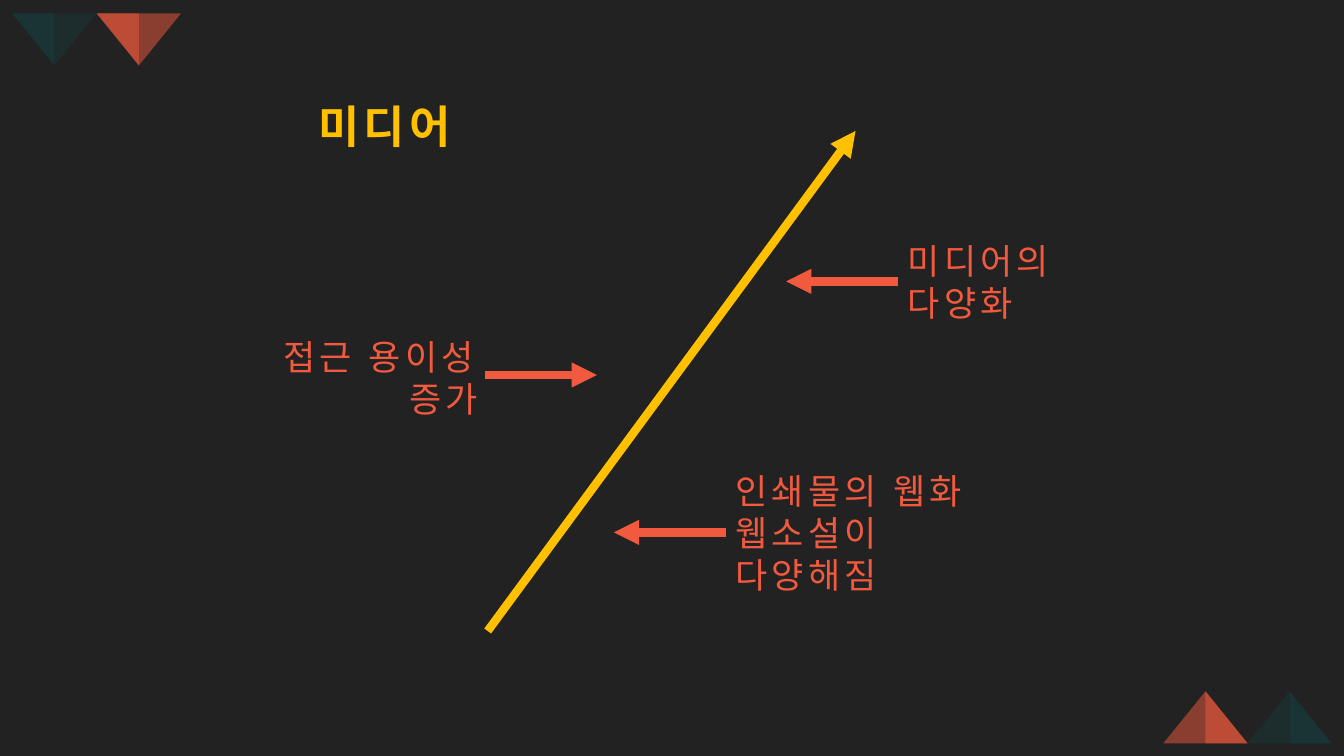
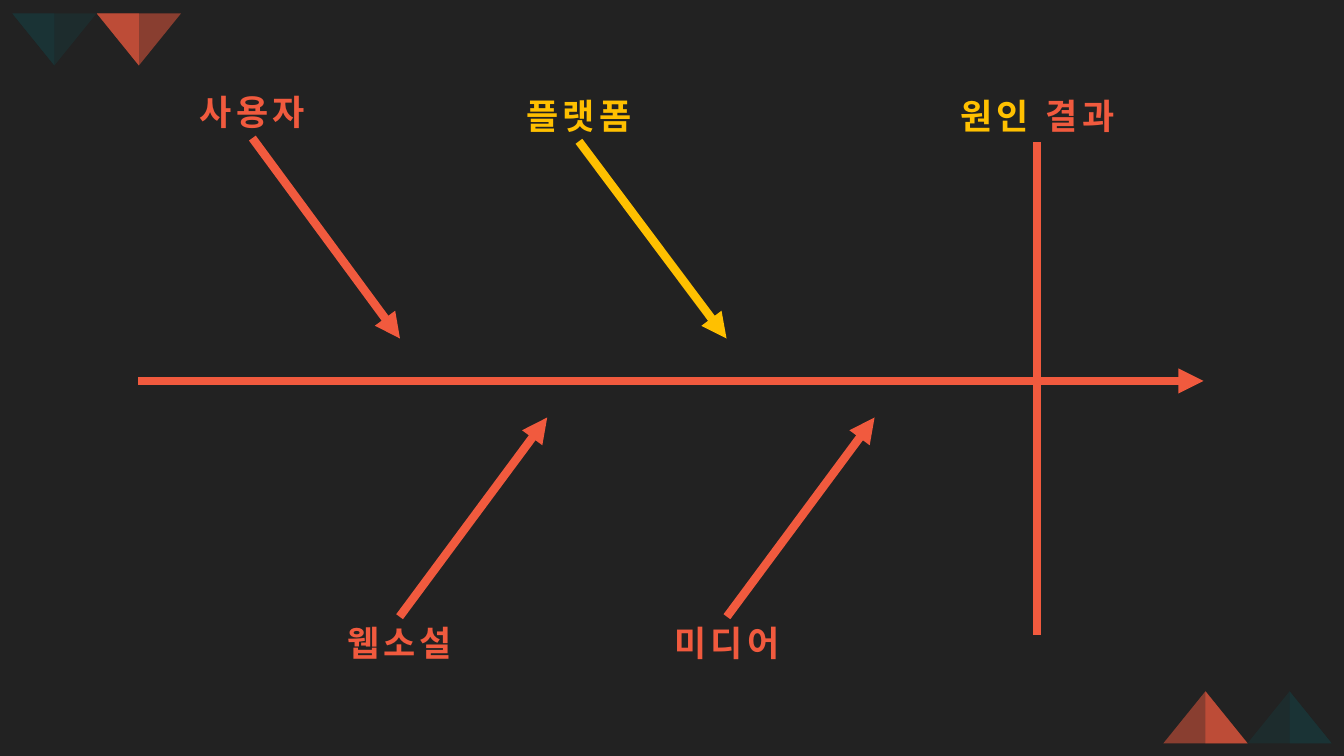
import lxml.etree
import pptx
import pptx.dml.color
import pptx.enum.shapes
import pptx.enum.text
import pptx.oxml.ns
import pptx.util

Cm = pptx.util.Cm
Pt = pptx.util.Pt
RGB = pptx.dml.color.RGBColor.from_string
ALIGN = pptx.enum.text.PP_ALIGN
SHAPE = pptx.enum.shapes.MSO_SHAPE
qn = pptx.oxml.ns.qn
TOP, LEFT, BOTTOM = 0, 1, 2

THEME = {
    "background": RGB("222222"),
    "coral": RGB("F15A3E"),
    "teal": RGB("193739"),
    "gold": RGB("FFC000"),
    "font": "Roboto",
    "title_size": Pt(32),
    "label_size": Pt(25),
    "letter_spacing": "300",
    "line_width": Pt(6),
}


def add_label(page, place, paragraphs, align=ALIGN.CENTER, bold=True, size="label_size"):
    """Add a text box; each paragraph is a list of (text, colour name) runs."""
    box = page.shapes.add_textbox(*map(Cm, place))
    frame = box.text_frame
    frame_format = {
        "word_wrap": True,
        "vertical_anchor": pptx.enum.text.MSO_ANCHOR.MIDDLE,
        "auto_size": pptx.enum.text.MSO_AUTO_SIZE.SHAPE_TO_FIT_TEXT,
    }
    for name, value in frame_format.items():
        setattr(frame, name, value)
    for index, runs in enumerate(paragraphs):
        para = frame.add_paragraph() if index else frame.paragraphs[0]
        para.alignment = align
        for text, colour in runs:
            span = para.add_run()
            span.text = text
            font_format = {"name": THEME["font"], "size": THEME[size], "bold": bold}
            for name, value in font_format.items():
                setattr(span.font, name, value)
            span.font.color.rgb = THEME[colour]
            properties = span.font._element
            properties.set("spc", THEME["letter_spacing"])
            east_asian = lxml.etree.SubElement(properties, qn("a:ea"))
            east_asian.set("typeface", THEME["font"])
    return box


def add_line(page, start, end, colour="coral", arrow=True, box=None, side=None):
    """Draw a line from start to end, joined to a side of box if one is given."""
    line = page.shapes.add_connector(
        pptx.enum.shapes.MSO_CONNECTOR.STRAIGHT, *map(Cm, start + end))
    if box is not None:
        line.begin_connect(box, side)
    line.line.color.rgb = THEME[colour]
    line.line.width = THEME["line_width"]
    if arrow:
        outline = line.line._get_or_add_ln()
        lxml.etree.SubElement(outline, qn("a:tailEnd")).set("type", "triangle")
    lxml.etree.SubElement(line._element.spPr, qn("a:effectLst"))


deck = pptx.Presentation()
deck.slide_width, deck.slide_height = Cm(33.87), Cm(19.05)
master_fill = deck.slide_master.background.fill
master_fill.solid()
master_fill.fore_color.rgb = THEME["background"]
media_page, fishbone_page = [deck.slides.add_slide(deck.slide_layouts[6]) for _ in range(2)]

# Corner triangles: a full triangle with one half shaded again
TRIANGLE_WIDTH, TRIANGLE_HEIGHT = 2.12, 1.31
half_width = TRIANGLE_WIDTH / 2
corners = [
    (2.44, 0.34, "coral", 50, 180),
    (0.31, 0.34, "teal", 70, 180),
    (29.32, 17.42, "coral", 50, 0),
    (31.44, 17.42, "teal", 70, 0),
]
for page in (media_page, fishbone_page):
    for left, top, colour, half_opacity, rotation in corners:
        half_left = left if rotation else left + half_width
        for kind, x, width, opacity in (
            (SHAPE.ISOSCELES_TRIANGLE, left, TRIANGLE_WIDTH, 50),
            (SHAPE.RIGHT_TRIANGLE, half_left, half_width, half_opacity),
        ):
            triangle = page.shapes.add_shape(
                kind, Cm(x), Cm(top), Cm(width), Cm(TRIANGLE_HEIGHT))
            triangle.rotation = rotation
            triangle.shadow.inherit = False
            triangle.line.fill.background()
            triangle.fill.solid()
            triangle.fill.fore_color.rgb = THEME[colour]
            colour_element = next(triangle._element.spPr.iter(qn("a:srgbClr")))
            alpha = lxml.etree.SubElement(colour_element, qn("a:alpha"))
            alpha.set("val", str(opacity * 1000))

# Slide 1: media branch with its causes
ARROW_LENGTH = 2.82
add_label(media_page, (7.52, 2.34, 4.34, 1.63), [[("미디어", "gold")]], size="title_size")
right_causes = [
    ((18.29, 12.22, 7.9, 2.39), ["인쇄물의 웹화", "웹소설이 다양해짐"]),
    ((22.63, 6.43, 7.11, 1.32), ["미디어의 다양화"]),
]
for place, texts in right_causes:
    box = add_label(media_page, place, [[(text, "coral")] for text in texts],
                    ALIGN.LEFT, bold=False)
    left, top, width, height = place
    middle = top + height / 2
    add_line(media_page, (left, middle), (left - ARROW_LENGTH, middle), box=box, side=LEFT)
add_label(media_page, (5, 8.86, 7.29, 1.32), [[("접근 용이성 증가", "coral")]],
          ALIGN.RIGHT, bold=False)
add_line(media_page, (12.22, 9.45), (12.22 + ARROW_LENGTH, 9.45))
add_line(media_page, (12.29, 15.9), (21.56, 3.3), "gold")

# Slide 2: fishbone diagram
LABEL_WIDTH, LABEL_HEIGHT, BRANCH_RUN = 4.34, 1.32, 3.72
add_line(fishbone_page, (3.48, 9.6), (30.33, 9.6))
branches = [
    ("사용자", 4.19, 2.16, "coral", BOTTOM, 8.53),
    ("플랫폼", 12.42, 2.24, "gold", BOTTOM, 8.53),
    ("웹소설", 7.9, 15.54, "coral", TOP, 10.52),
    ("미디어", 16.15, 15.54, "coral", TOP, 10.52),
]
for text, left, top, colour, side, tip in branches:
    box = add_label(fishbone_page, (left, top, LABEL_WIDTH, LABEL_HEIGHT), [[(text, colour)]])
    centre = left + LABEL_WIDTH / 2
    edge = top + LABEL_HEIGHT if side == BOTTOM else top
    add_line(fishbone_page, (centre, edge), (centre + BRANCH_RUN, tip), colour,
             box=box, side=side)
result_box = add_label(fishbone_page, (23.65, 2.26, 4.98, LABEL_HEIGHT),
                       [[("원인", "gold"), (" 결과", "coral")]])
add_line(fishbone_page, (26.14, 3.58), (26.14, 16), arrow=False, box=result_box, side=BOTTOM)

deck.save("out.pptx")
